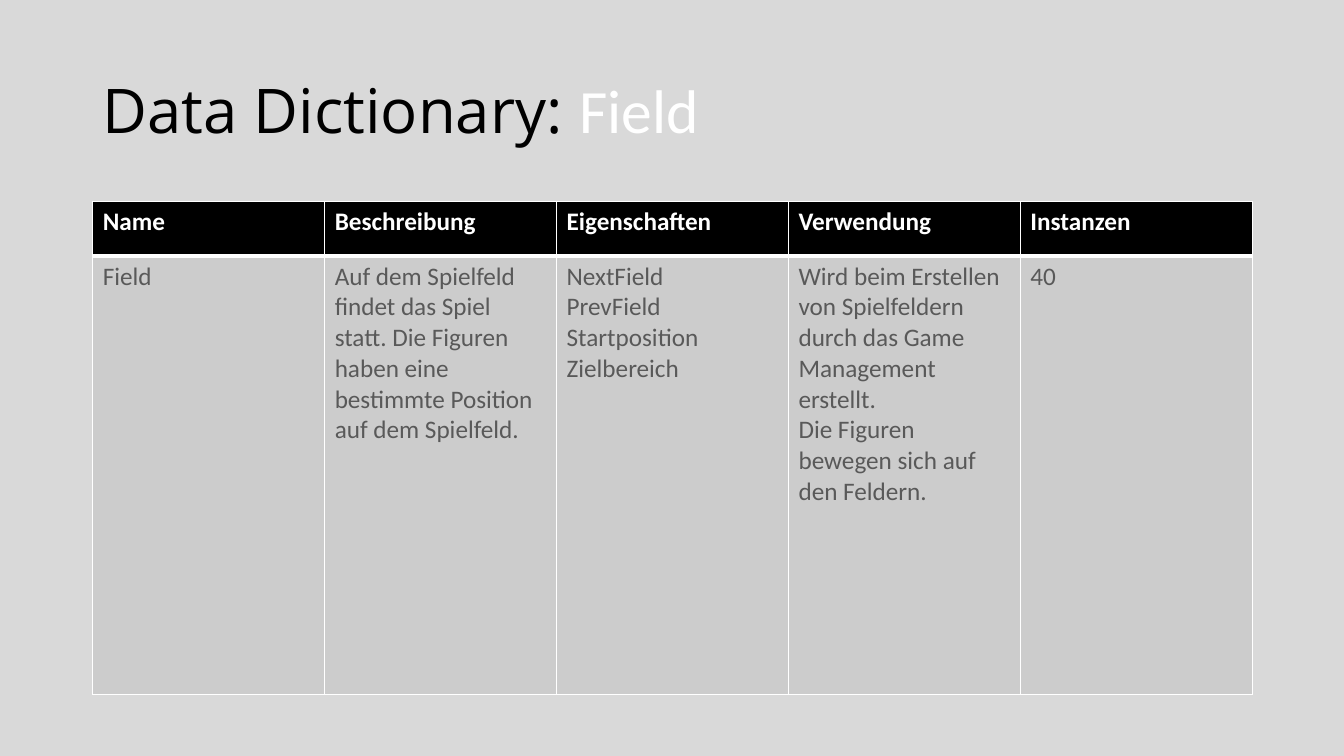
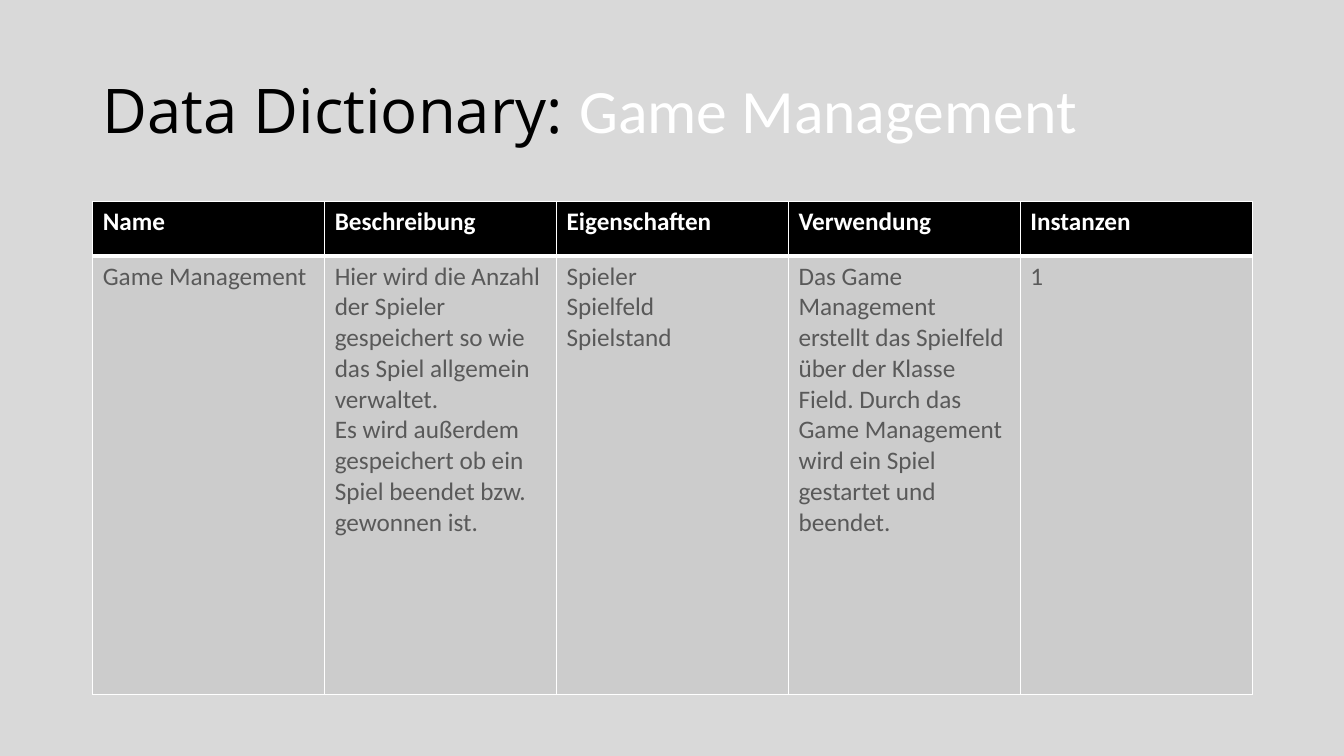
from dataclasses import dataclass

from pptx import Presentation
from pptx.dml.color import RGBColor as Color
from pptx.enum.text import MSO_ANCHOR as Anchor
from pptx.oxml.ns import qn
from pptx.util import Inches, Pt
from lxml.etree import SubElement


@dataclass(frozen=True)
class Theme:
    backdrop: str = "D9D9D9"
    ink: str = "000000"
    light: str = "FFFFFF"
    cell: str = "CCCCCC"
    body: str = "595959"
    title_font: str = "Open Sans"
    text_font: str = "Calibri"
    title_size: int = 44
    table_size: int = 18
    thin: int = 1
    thick: int = 3


@dataclass(frozen=True)
class Box:
    left: float
    top: float
    width: float
    height: float

    def lengths(self):
        return [Inches(n) for n in (self.left, self.top, self.width, self.height)]


THEME = Theme()
TITLE_BOX = Box(0.92, 0.4, 11.5, 1.45)
TABLE_BOX = Box(0.92, 2, 11.5, 4.89)
HEADER_HEIGHT = 0.54
HEADINGS = ["Name", "Beschreibung", "Eigenschaften", "Verwendung", "Instanzen"]

# One entry per slide: the cells of the row, each a list of paragraphs
ENTRIES = [
    [
        ["Field"],
        ["Auf dem Spielfeld findet das Spiel statt. Die Figuren haben eine "
         "bestimmte Position auf dem Spielfeld."],
        ["NextField", "PrevField", "Startposition", "Zielbereich"],
        ["Wird beim Erstellen von Spielfeldern durch das Game Management erstellt.",
         "Die Figuren bewegen sich auf den Feldern."],
        ["40"],
    ],
    [
        ["Game Management"],
        ["Hier wird die Anzahl der Spieler gespeichert so wie das Spiel "
         "allgemein verwaltet.",
         "Es wird außerdem gespeichert ob ein Spiel beendet bzw. gewonnen ist."],
        ["Spieler", "Spielfeld", "Spielstand"],
        ["Das Game Management erstellt das Spielfeld über der Klasse Field. "
         "Durch das Game Management",
         "wird ein Spiel gestartet und beendet."],
        ["1"],
    ],
]


def style_font(font, name, size, color, bold=False):
    font.name, font.size, font.bold = name, Pt(size), bold
    font.color.rgb = Color.from_string(color)


def add_title(page, box, subject):
    frame = page.shapes.add_textbox(*box.lengths()).text_frame
    frame.word_wrap = True
    frame.vertical_anchor = Anchor.MIDDLE
    para = frame.paragraphs[0]
    para.line_spacing = 0.9
    for text, name, color in (
        ("Data Dictionary: ", THEME.title_font, THEME.ink),
        (subject, THEME.text_font, THEME.light),
    ):
        span = para.add_run()
        span.text = text
        style_font(span.font, name, THEME.title_size, color)


def add_borders(cell, top, bottom):
    properties = cell._tc.get_or_add_tcPr()
    widths = {"a:lnL": THEME.thin, "a:lnR": THEME.thin, "a:lnT": top, "a:lnB": bottom}
    for tag, width in widths.items():
        line = SubElement(properties, qn(tag), w=str(Pt(width)))
        SubElement(SubElement(line, qn("a:solidFill")), qn("a:srgbClr"), val=THEME.light)


def fill_cell(cell, lines, is_header):
    # Borders come before the fill in the cell's XML
    if is_header:
        add_borders(cell, THEME.thin, THEME.thick)
    else:
        add_borders(cell, THEME.thick, THEME.thin)
    cell.fill.solid()
    cell.fill.fore_color.rgb = Color.from_string(THEME.ink if is_header else THEME.cell)
    cell.text = "\n".join(lines)
    color = THEME.light if is_header else THEME.body
    for para in cell.text_frame.paragraphs:
        style_font(para.font, THEME.text_font, THEME.table_size, color, is_header)


def add_dictionary_table(page, box, entry):
    rows = [[[heading] for heading in HEADINGS], entry]
    table = page.shapes.add_table(len(rows), len(HEADINGS), *box.lengths()).table
    for column in table.columns:
        column.width = Inches(box.width / len(HEADINGS))
    table.rows[0].height = Inches(HEADER_HEIGHT)
    table.rows[1].height = Inches(box.height - HEADER_HEIGHT)
    for row_index, row in enumerate(rows):
        for column_index, lines in enumerate(row):
            fill_cell(table.cell(row_index, column_index), lines, row_index == 0)


def add_entry_page(deck, entry):
    page = deck.slides.add_slide(deck.slide_layouts[6])
    add_title(page, TITLE_BOX, entry[0][0])
    add_dictionary_table(page, TABLE_BOX, entry)


def build():
    deck = Presentation()
    deck.slide_width, deck.slide_height = Inches(13.33), Inches(7.5)
    # Shared background
    backdrop = deck.slide_master.background.fill
    backdrop.solid()
    backdrop.fore_color.rgb = Color.from_string(THEME.backdrop)
    for entry in ENTRIES:
        add_entry_page(deck, entry)
    deck.save("out.pptx")


build()
